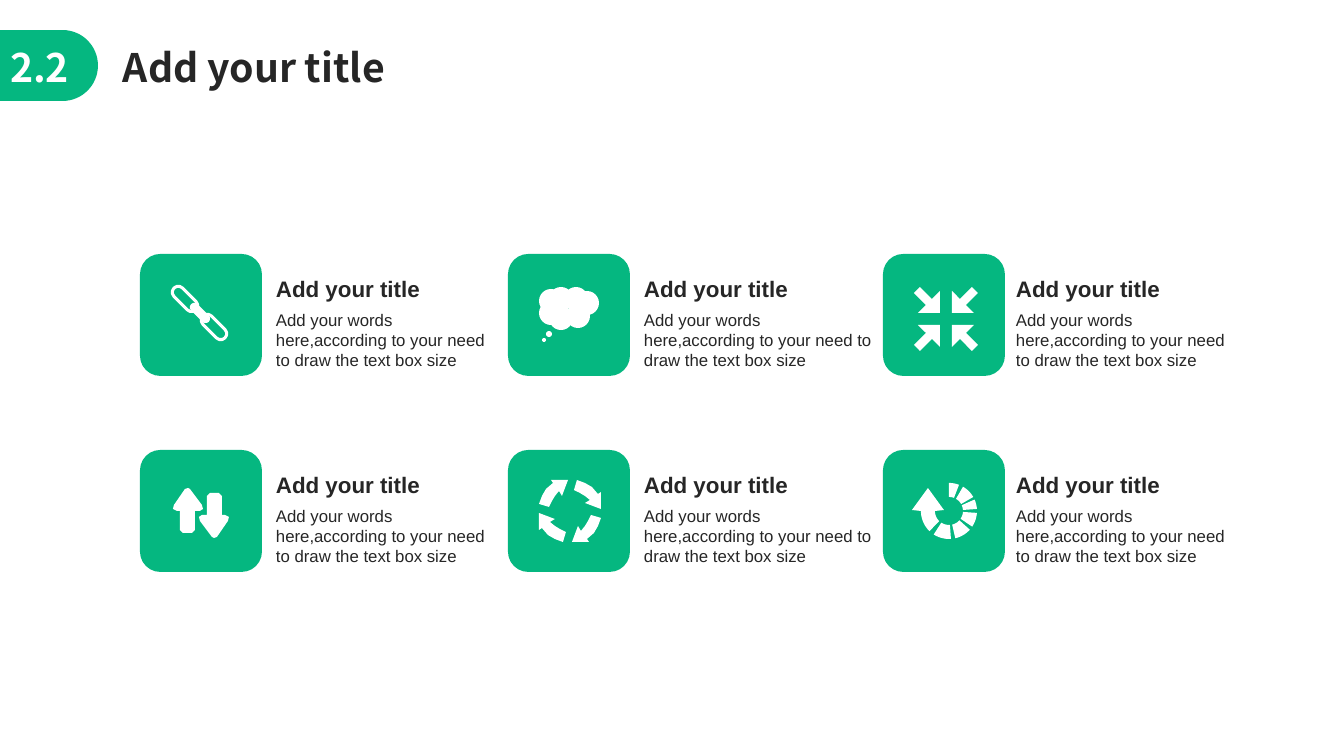
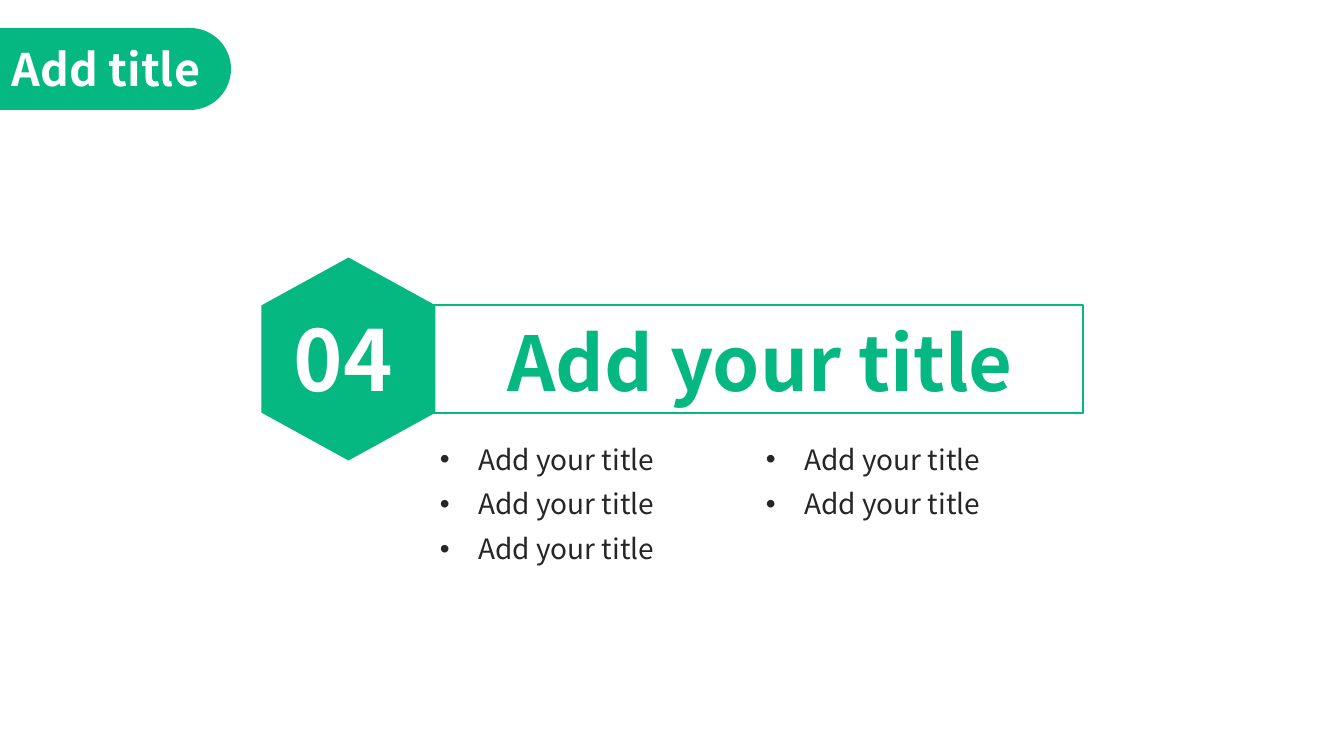
from itertools import product
from math import cos, radians, sin

from lxml.etree import SubElement
from pptx import Presentation
from pptx.dml.color import RGBColor
from pptx.enum.shapes import MSO_SHAPE as Shape
from pptx.enum.text import MSO_ANCHOR as Anchor, MSO_AUTO_SIZE as AutoSize, PP_ALIGN as Align
from pptx.oxml.ns import qn
from pptx.util import Pt

PX = 12192000 / 1344
GREEN, WHITE, INK = "05B780", "FFFFFF", "262626"
HEAD_FONT, TEXT_FONT = "Noto Sans CJK SC", "Arial"
TITLE_ONLY, TWO_CONTENT = 5, 3
TILE = 122


def px(length):
    return round(length * PX)


def color(hex_code):
    return RGBColor.from_string(hex_code)


def style(shape, fill=None, line=None, line_px=1):
    shape.shadow.inherit = False
    if fill:
        shape.fill.solid()
        shape.fill.fore_color.rgb = color(fill)
    else:
        shape.fill.background()
    if line:
        shape.line.color.rgb = color(line)
        shape.line.width = px(line_px)
    else:
        shape.line.fill.background()
    return shape


def add_preset(shapes, kind, box, **look):
    return style(shapes.add_shape(kind, *map(px, box)), **look)


def add_outline(shapes, origin, points, fill):
    """Filled polygon whose points are measured from origin."""
    left, top = origin
    corners = [(px(left + x), px(top + y)) for x, y in points]
    builder = shapes.build_freeform(*corners[0])
    builder.add_line_segments(corners[1:], close=True)
    return style(builder.convert_to_shape(), fill=fill)


def add_disc(shapes, center, diameter):
    x, y = center
    box = (x - diameter / 2, y - diameter / 2, diameter, diameter)
    add_preset(shapes, Shape.OVAL, box, fill=WHITE)


def arc(radius, start, end, steps=16):
    """Points on a circle around 0, 0; degrees run clockwise from the top."""
    angles = [radians(start + (end - start) * i / steps) for i in range(steps + 1)]
    return [(radius * sin(a), -radius * cos(a)) for a in angles]


def set_frame(frame, inset=(10, 5), anchor=Anchor.MIDDLE):
    frame.word_wrap = True
    frame.auto_size = AutoSize.NONE
    frame.vertical_anchor = anchor
    frame.margin_left = frame.margin_right = px(inset[0])
    frame.margin_top = frame.margin_bottom = px(inset[1])


def write(paragraph, text, size, ink=INK, bold=False, font=HEAD_FONT):
    paragraph.alignment = Align.LEFT
    paragraph.space_before = Pt(0)
    run = paragraph.add_run()
    run.text = text
    run.font.name, run.font.size, run.font.bold = font, Pt(size), bold
    run.font.color.rgb = color(ink)


def add_label(slide, box, text, size, inset=(10, 5), **look):
    frame = slide.shapes.add_textbox(*map(px, box)).text_frame
    set_frame(frame, inset)
    write(frame.paragraphs[0], text, size, **look)


def move(placeholder, box):
    placeholder.left, placeholder.top, placeholder.width, placeholder.height = map(px, box)


def set_title(slide, box, text, size, ink):
    title = slide.shapes.title
    move(title, box)
    set_frame(title.text_frame)
    write(title.text_frame.paragraphs[0], text, size, ink, bold=True)


def add_tab(slide, box, text, size, inset):
    """Green band from the left edge with a half-round right end."""
    left, top, width, height = box
    radius = height / 2
    bow = [(width - radius + x, radius + y) for x, y in arc(radius, 0, 180, 32)]
    tab = add_outline(slide.shapes, (left, top), [(0, 0), *bow, (0, height)], GREEN)
    set_frame(tab.text_frame, inset)
    tab.text_frame.margin_right = tab.text_frame.margin_bottom = 0
    write(tab.text_frame.paragraphs[0], text, size, WHITE, bold=True)


def draw_chain(shapes, left, top):
    def add_link(x, y, length, width, **look):
        box = (left + x - length / 2, top + y - width / 2, length, width)
        link = add_preset(shapes, Shape.ROUNDED_RECTANGLE, box, **look)
        link.adjustments[0] = 0.5
        link.rotation = 45

    for x, y in [(45, 45), (74, 73)]:
        add_link(x, y, 31, 12, line=WHITE, line_px=3)
    add_link(60, 59, 25, 9, fill=WHITE)


def draw_thought(shapes, left, top):
    lobes = [(79, 49), (68, 45), (53, 45), (43, 47), (43, 59), (53, 64), (70, 62)]
    for x, y in lobes:
        add_disc(shapes, (left + x, top + y), 24)
    for x, y, diameter in [(41, 80, 6), (36, 86, 4)]:
        add_disc(shapes, (left + x, top + y), diameter)


def draw_inward_arrows(shapes, left, top):
    arrow = [(-32, -26), (-20, -14), (-28, -6), (-6, -6), (-6, -28), (-14, -20), (-26, -32)]
    for flip_x, flip_y in product((1, -1), repeat=2):
        points = [(x * flip_x, y * flip_y) for x, y in arrow]
        add_outline(shapes, (left + 63, top + 65), points, WHITE)


def draw_up_down(shapes, left, top):
    arrow = [(-24, -2), (-28, -4), (-27, -8), (-16, -24), (-13, -25), (-11, -24), (1, -8),
             (2, -4), (-1, -2), (-6, -2), (-6, 17), (-9, 20), (-18, 20), (-21, 17), (-21, -2)]
    for turn in (1, -1):
        points = [(x * turn, y * turn) for x, y in arrow]
        add_outline(shapes, (left + 61, top + 63), points, WHITE)


def draw_cycle(shapes, left, top):
    arrow = [(-17, -28), (-24, -22), (-28, -15), (-31, -7), (-21, -4), (-18, -10),
             (-15, -15), (-11, -20), (-8, -15), (-2, -31), (-19, -31)]
    for _ in range(4):
        add_outline(shapes, (left + 62, top + 61), arrow, WHITE)
        arrow = [(-y, x) for x, y in arrow]


def draw_reload(shapes, left, top):
    head = [(-37, -1), (-21, -23), (-5, -1)]
    pieces = [(0, 21, []), (30, 60, []), (66, 86, []), (94, 124, []),
              (132, 167, []), (176, 213, []), (224, 270, head)]
    for start, end, tip in pieces:
        ring = arc(28, start, end) + tip + arc(14, end, start)
        add_outline(shapes, (left + 66, top + 61), ring, WHITE)


def add_card(slide, left, top, text_left, text_width, draw_icon):
    add_preset(slide.shapes, Shape.ROUNDED_RECTANGLE, (left, top, TILE, TILE), fill=GREEN)
    draw_icon(slide.shapes.add_group_shape().shapes, left, top)
    heading = (left + text_left, top + 21, 177, 27)
    words = (left + text_left, top + 55, text_width, 62)
    add_label(slide, heading, "Add your title", 16, (0, 0), bold=True, font=TEXT_FONT)
    add_label(slide, words, "Add your words here,according to your need to draw the text box size",
              12, (0, 0), font=TEXT_FONT)


def add_cards_slide(deck):
    slide = deck.slides.add_slide(deck.slide_layouts[TITLE_ONLY])
    add_tab(slide, (0, 30, 98, 71), "2.2", 28, (10, 3))
    set_title(slide, (113, 38, 333, 58), "Add your title", 28, INK)
    columns = [(140, 136, 224), (508, 136, 229), (883, 133, 210)]
    rows = [(254, [draw_chain, draw_thought, draw_inward_arrows]),
            (450, [draw_up_down, draw_cycle, draw_reload])]
    for top, icons in rows:
        for (left, text_left, text_width), draw_icon in zip(columns, icons):
            add_card(slide, left, top, text_left, text_width, draw_icon)


def fill_list(placeholder, box, items):
    move(placeholder, box)
    frame = placeholder.text_frame
    set_frame(frame, anchor=Anchor.TOP)
    for i, item in enumerate(items):
        paragraph = frame.add_paragraph() if i else frame.paragraphs[0]
        write(paragraph, item, 20)
        paragraph.space_after = Pt(8)
        props = paragraph._p.get_or_add_pPr()
        props.set("marL", str(px(38)))
        props.set("indent", str(-px(38)))
        SubElement(props, qn("a:buFont"), typeface=TEXT_FONT)
        SubElement(props, qn("a:buChar"), char="•")


def add_section_slide(deck):
    slide = deck.slides.add_slide(deck.slide_layouts[TWO_CONTENT])
    add_tab(slide, (0, 28, 231, 82), "Add title", 32, (12, 0))
    add_preset(slide.shapes, Shape.RECTANGLE, (430, 305, 653, 108), line=GREEN, line_px=1.4)
    set_title(slide, (497, 310, 560, 102), "Add your title", 54, GREEN)
    hexagon = add_preset(slide.shapes, Shape.HEXAGON, (247, 272, 203, 174), fill=GREEN)
    hexagon.adjustments[0] = 0.275
    hexagon.adjustments[1] = 1.155
    hexagon.rotation = 90
    add_label(slide, (284, 302, 133, 112), "04", 60, ink=WHITE, bold=True)
    for idx, left, count in [(1, 430, 3), (2, 756, 2)]:
        fill_list(slide.placeholders[idx], (left, 437, 250, 160), ["Add your title"] * count)


def main():
    deck = Presentation()
    deck.slide_width, deck.slide_height = px(1344), px(756)
    add_cards_slide(deck)
    add_section_slide(deck)
    deck.save("out.pptx")


if __name__ == "__main__":
    main()
